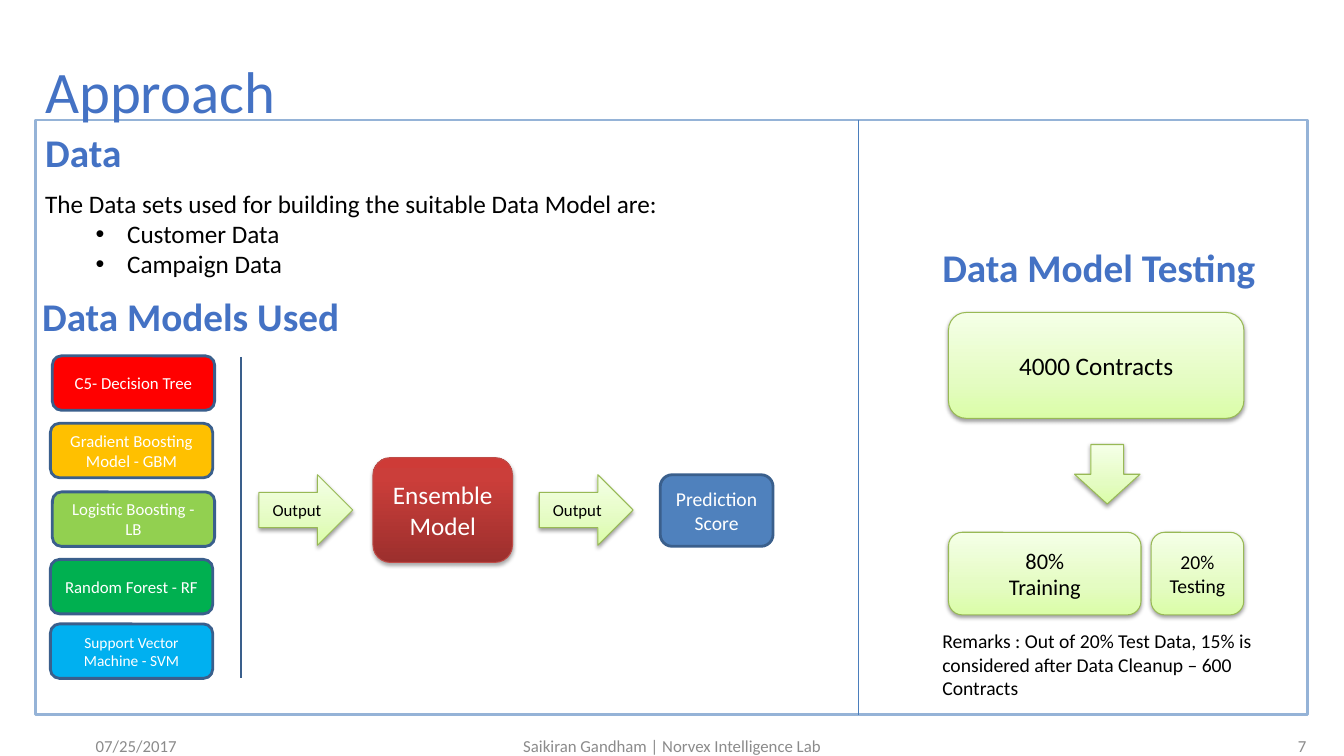
"""Build the Approach slide: data sets, ensemble of models and model testing."""
from lxml import etree
from pptx import Presentation
from pptx.dml.color import RGBColor
from pptx.enum import shapes, text
from pptx.oxml.ns import qn
from pptx.util import Pt

COLORS = {"white": "FFFFFF", "black": "000000", "heading": "4472C4", "grey": "8B8B8B",
          "frame": "95B3D7", "divider": "4B7EBC", "outline": "3A5F8C",
          "red": "FF0000", "amber": "FFC000", "lime": "92D050", "green": "00B050",
          "sky": "00B0F0", "blue": "4F81BD", "pale edge": "98B955", "brick edge": "BF4C48"}
GRADIENTS = {"pale": [(0, "DAFDA7"), (35, "E4FCC2"), (100, "F5FFE7")],
             "brick": [(0, "9C2F2D"), (80, "CB3E3A"), (100, "CE3B37")]}
SHADOWS = {"pale": (38, 3.1, 1.6), "brick": (35, 3.1, 1.8)}

FRAME = (25.2, 85.7, 908.6, 424.8)
LEFT, CENTER, RIGHT = text.PP_ALIGN.LEFT, text.PP_ALIGN.CENTER, text.PP_ALIGN.RIGHT
TOP, MIDDLE = text.MSO_ANCHOR.TOP, text.MSO_ANCHOR.MIDDLE
ROUNDED = shapes.MSO_SHAPE.ROUNDED_RECTANGLE
RIGHT_ARROW = shapes.MSO_SHAPE.RIGHT_ARROW
DOWN_ARROW = shapes.MSO_SHAPE.DOWN_ARROW

HEADINGS = [("Data", 25.2, 87.8), ("Data Models Used", 23, 205.2),
            ("Data Model Testing", 666, 170.6)]
DATA_INTRO = "The Data sets used for building the suitable Data Model are:"
DATA_SETS = ["Customer Data", "Campaign Data"]
REMARKS = ("Remarks : Out of 20% Test Data, 15% is considered after "
           "Data Cleanup – 600 Contracts")
FOOTERS = [("07/25/2017", 61.2, 216, LEFT),
           ("Saikiran Gandham | Norvex Intelligence Lab", 318.2, 324, CENTER),
           ("7", 724.3, 216, RIGHT)]
MODELS = [("C5- Decision Tree", "red", 37.4, 254.2, 12),
          ("Gradient Boosting Model - GBM", "amber", 36, 302.4, 12),
          ("Logistic Boosting - LB", "lime", 37.4, 351.4, 12),
          ("Random Forest - RF", "green", 36, 399.6, 12),
          ("Support Vector Machine - SVM", "sky", 36, 445.7, 11)]
MODEL_SIZE = (115.9, 38.9)
GRADIENT_SHAPES = [
    (RIGHT_ARROW, "pale", (185, 339.1, 67, 50.4), ["Output"], 12, "black"),
    (ROUNDED, "brick", (266.4, 326.9, 99.7, 74.9), ["Ensemble Model"], 18, "white"),
    (RIGHT_ARROW, "pale", (385.2, 339.1, 67, 50.4), ["Output"], 12, "black"),
    (ROUNDED, "pale", (677.5, 223.2, 211, 75.6), ["4000 Contracts"], 18, "black"),
    (DOWN_ARROW, "pale", (767.5, 317.5, 46.8, 42.5), [], 12, "black"),
    (ROUNDED, "pale", (677.5, 380.2, 137.5, 59), ["80%", "Training"], 16, "black"),
    (ROUNDED, "pale", (822.2, 380.2, 66.2, 59), ["20%", "Testing"], 14, "black")]


def rgb(name):
    return RGBColor.from_string(COLORS[name])


def points(box):
    return [Pt(value) for value in box]


def write(shape, lines, size, color, align=LEFT, anchor=TOP, bold=False):
    frame = shape.text_frame
    frame.word_wrap = True
    frame.vertical_anchor = anchor
    frame.margin_left = frame.margin_right = Pt(7.2)
    frame.margin_top = frame.margin_bottom = Pt(3.6)
    for index, line in enumerate(lines):
        paragraph = frame.add_paragraph() if index else frame.paragraphs[0]
        paragraph.alignment = align
        run = paragraph.add_run()
        run.text = line
        run.font.name = "Calibri"
        run.font.size = Pt(size)
        run.font.bold = bold
        run.font.color.rgb = rgb(color)
    return frame


def add_text(box, lines, size, color, **style):
    return write(slide.shapes.add_textbox(*points(box)), lines, size, color, **style)


def add_box(kind, box, edge, width, fill=None):
    shape = slide.shapes.add_shape(kind, *points(box))
    shape.shadow.inherit = False
    shape.line.color.rgb = rgb(edge)
    shape.line.width = Pt(width)
    if fill:
        shape.fill.solid()
        shape.fill.fore_color.rgb = rgb(fill)
    return shape


def add_color(parent, value):
    return etree.SubElement(parent, qn("a:srgbClr"), val=value)


def add_gradient_box(kind, style, box):
    shape = add_box(kind, box, style + " edge", 0.75)
    shape.fill.gradient()
    shape.fill.gradient_angle = 90
    properties = shape._element.spPr
    stops = properties.find(".//" + qn("a:gsLst"))
    for stop in list(stops):
        stops.remove(stop)
    for position, value in GRADIENTS[style]:
        add_color(etree.SubElement(stops, qn("a:gs"), pos=str(position * 1000)), value)
    alpha, blur, distance = SHADOWS[style]
    shadow = etree.SubElement(properties.find(qn("a:effectLst")), qn("a:outerShdw"),
                              blurRad=str(Pt(blur)), dist=str(Pt(distance)),
                              dir="5400000", rotWithShape="0")
    etree.SubElement(add_color(shadow, COLORS["black"]), qn("a:alpha"), val=str(alpha * 1000))
    return shape


def add_vertical(x, top, bottom, color, width):
    line = slide.shapes.add_connector(shapes.MSO_CONNECTOR.STRAIGHT,
                                      *points((x, top, x, bottom)))
    line.line.color.rgb = rgb(color)
    line.line.width = Pt(width)
    etree.SubElement(line._element.spPr, qn("a:effectLst"))


def add_bullet(paragraph):
    properties = paragraph._p.get_or_add_pPr()
    properties.set("marL", str(Pt(58.5)))
    properties.set("indent", str(Pt(-22.5)))
    etree.SubElement(properties, qn("a:buFont"), typeface="Arial")
    etree.SubElement(properties, qn("a:buChar"), char="•")


presentation = Presentation()
presentation.slide_width, presentation.slide_height = Pt(960), Pt(540)
slide = presentation.slides.add_slide(presentation.slide_layouts[6])

add_box(shapes.MSO_SHAPE.RECTANGLE, FRAME, "frame", 2, "white")
title = add_text((25.2, 50.4, 774.7, 34.6), ["Approach"], 42, "heading", anchor=MIDDLE)
title.paragraphs[0].line_spacing = 0.9
for heading, left, top in HEADINGS:
    add_text((left, top, 294.5, 41), [heading], 28, "heading", bold=True)

data = add_text((25.2, 131, 884.9, 72), [DATA_INTRO] + DATA_SETS, 18, "black")
for paragraph in data.paragraphs[1:]:
    add_bullet(paragraph)

for name, fill, left, top, size in MODELS:
    model = add_box(ROUNDED, (left, top, *MODEL_SIZE), "outline", 2, fill)
    write(model, [name], size, "white", align=CENTER, anchor=MIDDLE)
add_vertical(172.1, 254.9, 484.6, "outline", 2)

for kind, style, box, lines, size, color in GRADIENT_SHAPES:
    shape = add_gradient_box(kind, style, box)
    write(shape, lines, size, color, align=CENTER, anchor=MIDDLE)

score = add_box(ROUNDED, (471.6, 339.1, 80.6, 51.1), "outline", 2, "blue")
write(score, ["Prediction Score"], 14, "white", align=CENTER, anchor=MIDDLE)

add_vertical(613.4, FRAME[1], FRAME[1] + FRAME[3], "divider", 0.75)
add_text((666, 445.7, 250.6, 57.6), [REMARKS], 14, "black")
for footer, left, width, align in FOOTERS:
    add_text((left, 518.4, width, 28.8), [footer], 12, "grey", align=align, anchor=MIDDLE)

presentation.save("out.pptx")
